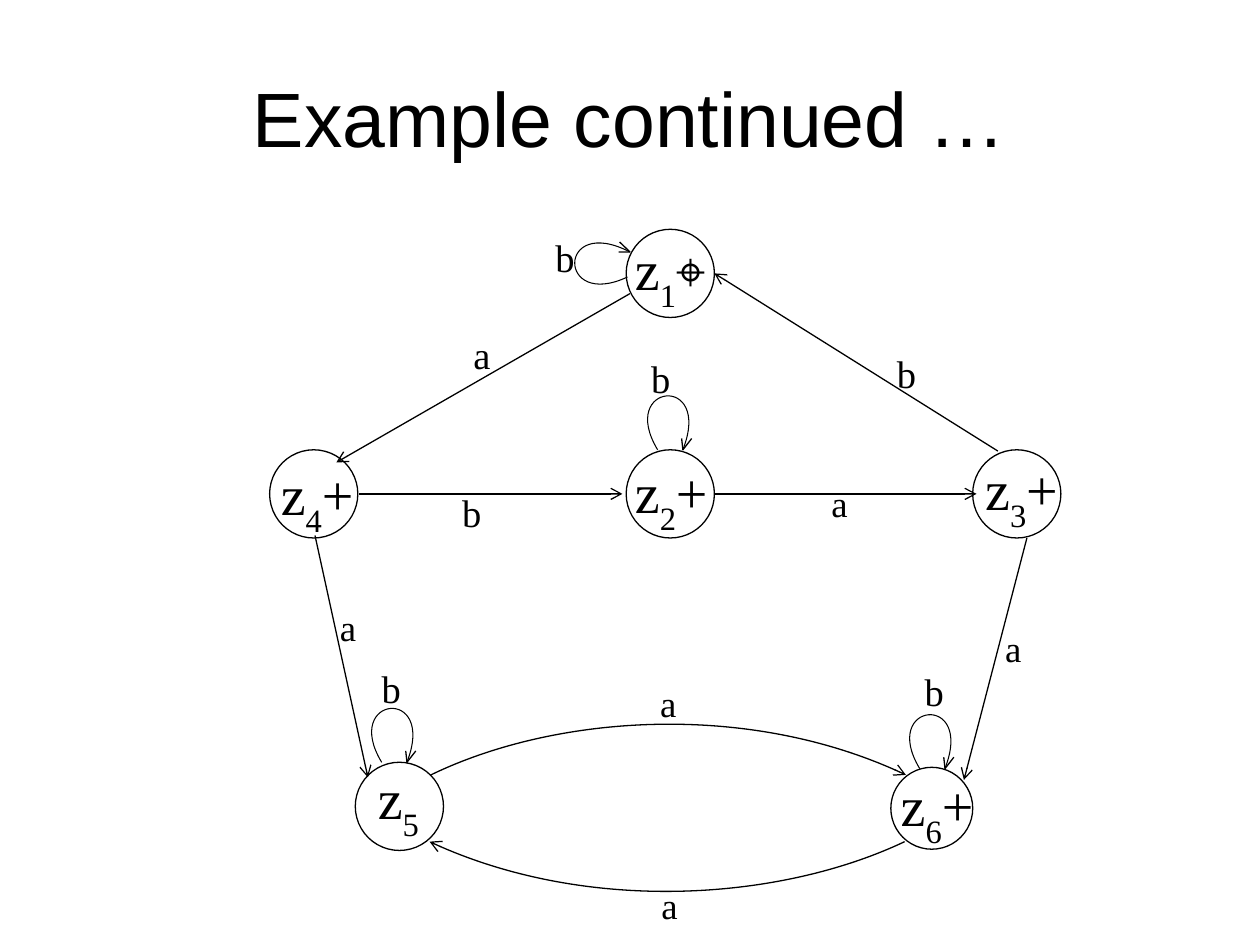
from dataclasses import dataclass
from math import cos, radians, sin

from lxml import etree
from pptx import Presentation
from pptx.dml.color import RGBColor
from pptx.enum.shapes import MSO_CONNECTOR, MSO_SHAPE
from pptx.enum.text import MSO_ANCHOR, PP_ALIGN
from pptx.oxml.ns import qn
from pptx.util import Inches, Pt

OVAL = MSO_SHAPE.OVAL
STRAIGHT = MSO_CONNECTOR.STRAIGHT
MIDDLE = MSO_ANCHOR.MIDDLE
CENTER = PP_ALIGN.CENTER
BLACK, WHITE = "000000", "FFFFFF"
SERIF = "Times New Roman"
THIN, HAIR = 0.74, 0.6
TITLE_ONLY = 5

Point = tuple[float, float]


@dataclass
class Node:
    """A state: circle corner and size, label corner, index and mark."""
    x: float
    y: float
    size: float
    left: float
    top: float
    index: str
    mark: str = "+"


@dataclass
class Label:
    """A letter beside an edge."""
    text: str
    x: float
    y: float
    size: float = 22
    width: float = 0.84
    height: float = 0.56


@dataclass
class Loop:
    """A self edge: arrow tip and turn in degrees."""
    x: float
    y: float
    turn: float = 0


NODES = [
    Node(7.07, 6.09, 0.65, 7.05, 6.07, "6"),
    Node(2.82, 6.05, 0.7, 2.9, 6.01, "5", ""),
    Node(2.14, 3.57, 0.7, 2.13, 3.6, "4"),
    Node(7.72, 3.57, 0.7, 7.72, 3.56, "3"),
    Node(4.97, 3.57, 0.7, 4.94, 3.58, "2"),
    Node(4.97, 1.82, 0.7, 4.94, 1.81, "1", "\u2316"),
]
EDGES = [
    ((2.5, 4.25), (2.92, 6.17)),
    ((8.15, 4.27), (7.65, 6.19)),
    ((2.85, 3.92), (4.94, 3.92)),
    ((5.67, 3.92), (7.75, 3.92)),
    ((7.92, 3.58), (5.67, 2.17)),
    ((5, 2.33), (2.67, 3.67)),
]
ARCS = [
    [(3.42, 6.15), (4.39, 5.68), (5.95, 5.56), (7.19, 6.15)],
    [(7.18, 6.68), (6.21, 7.14), (4.65, 7.26), (3.41, 6.68)],
]
LOOPS = [Loop(7.5, 6.1), Loop(3.23, 6.05), Loop(5.42, 3.57), Loop(5, 2, -84)]
BOW = [(-0.2, 0), (-0.52, -0.53), (0.24, -0.61), (0, 0)]
BARBS = [(0.07, -0.09), (0, 0), (-0.01, -0.09)]
LABELS = [
    Label("b", 7.24, 5.25),
    Label("b", 2.93, 5.23),
    Label("a", 5.15, 6.96, 21, 0.39, 0.46),
    Label("a", 5.14, 5.35, 21, 0.33, 0.33),
    Label("a", 3.66, 2.58),
    Label("b", 7.02, 2.73),
    Label("b", 5.07, 2.77),
    Label("a", 2.6, 4.75, 21, 0.33, 0.33),
    Label("a", 7.88, 4.92, 21, 0.33, 0.33),
    Label("b", 3.57, 3.83),
    Label("a", 6.5, 3.77, 21, 0.33, 0.33),
    Label("b", 4.31, 1.81),
]


def color(text: str) -> RGBColor:
    """Turn a hex string into a colour."""
    return RGBColor.from_string(text)


def add_run(para, text: str, size: float, font: str = SERIF, base: int = 0) -> None:
    """Add one run, lowered or raised by base percent."""
    run = para.add_run()
    run.text = text
    run.font.size = Pt(size)
    run.font.name = font
    run.font.color.rgb = color(BLACK)
    if base:
        run.font._element.set("baseline", str(base * 1000))


def add_box(shapes, x: float, y: float, width: float, height: float):
    """Add an unwrapped text box and return its first paragraph."""
    box = shapes.add_textbox(Inches(x), Inches(y), Inches(width), Inches(height))
    box.text_frame.word_wrap = False
    return box.text_frame.paragraphs[0]


def set_line(shape, width: float, arrow: bool = False) -> None:
    """Style an outline, with an open arrow at its end if asked."""
    shape.line.color.rgb = color(BLACK)
    shape.line.width = Pt(width)
    if arrow:
        line = shape.line._get_or_add_ln()
        etree.SubElement(line, qn("a:tailEnd"), type="arrow")


def add_node(shapes, node: Node) -> None:
    """Draw a state circle and its indexed name."""
    size = Inches(node.size)
    disc = shapes.add_shape(OVAL, Inches(node.x), Inches(node.y), size, size)
    disc.shadow.inherit = False
    disc.fill.solid()
    disc.fill.fore_color.rgb = color(WHITE)
    set_line(disc, THIN)
    para = add_box(shapes, node.left, node.top, 0.98, 0.5)
    add_run(para, "z", 32)
    add_run(para, node.index, 32, base=-30)
    if node.mark == "+":
        add_run(para, node.mark, 32)
    elif node.mark:
        add_run(para, node.mark, 30, "Cambria")


def add_edge(shapes, start: Point, end: Point) -> None:
    """Draw a straight arrow."""
    edge = shapes.add_connector(STRAIGHT, *map(Inches, start + end))
    set_line(edge, THIN, True)
    etree.SubElement(edge._element.spPr, qn("a:effectLst"))


def add_trace(shapes, points: list[Point], width: float,
              curved: bool = False, arrow: bool = False) -> None:
    """Draw an open outline, as one cubic curve if asked."""
    first, *rest = [(Inches(x), Inches(y)) for x, y in points]
    pen = shapes.build_freeform(*first)
    pen.add_line_segments(rest, close=False)
    trace = pen.convert_to_shape()
    trace.shadow.inherit = False
    trace.fill.background()
    set_line(trace, width, arrow)
    if curved:
        steps = list(trace._element.iter(qn("a:lnTo")))
        curve = etree.SubElement(steps[0].getparent(), qn("a:cubicBezTo"))
        for step in steps:
            curve.append(step[0])
            step.getparent().remove(step)


def add_loop(shapes, loop: Loop) -> None:
    """Draw a self edge and its arrowhead as one group."""
    c, s = cos(radians(loop.turn)), sin(radians(loop.turn))

    def place(points: list[Point]) -> list[Point]:
        """Turn points about the tip."""
        return [(loop.x + x * c - y * s, loop.y + x * s + y * c) for x, y in points]

    group = shapes.add_group_shape()
    add_trace(group.shapes, place(BOW), HAIR, curved=True)
    add_trace(group.shapes, place(BARBS), THIN)


def add_title(slide, text: str) -> None:
    """Place and fill the title."""
    title = slide.shapes.title
    title.left, title.top = Inches(0.5), Inches(0.3)
    title.width, title.height = Inches(9), Inches(1.25)
    title.text_frame.vertical_anchor = MIDDLE
    para = title.text_frame.paragraphs[0]
    para.alignment = CENTER
    add_run(para, text, 44, "Arial")


def main() -> None:
    """Build and save the slide."""
    deck = Presentation()
    deck.slide_width, deck.slide_height = Inches(10), Inches(7.5)
    slide = deck.slides.add_slide(deck.slide_layouts[TITLE_ONLY])
    shapes = slide.shapes
    add_title(slide, "Example continued \u2026")
    for node in NODES:
        add_node(shapes, node)
    for start, end in EDGES:
        add_edge(shapes, start, end)
    for arc in ARCS:
        add_trace(shapes, arc, THIN, curved=True, arrow=True)
    for loop in LOOPS:
        add_loop(shapes, loop)
    for label in LABELS:
        para = add_box(shapes, label.x, label.y, label.width, label.height)
        add_run(para, label.text, label.size)
    deck.save("out.pptx")


main()
